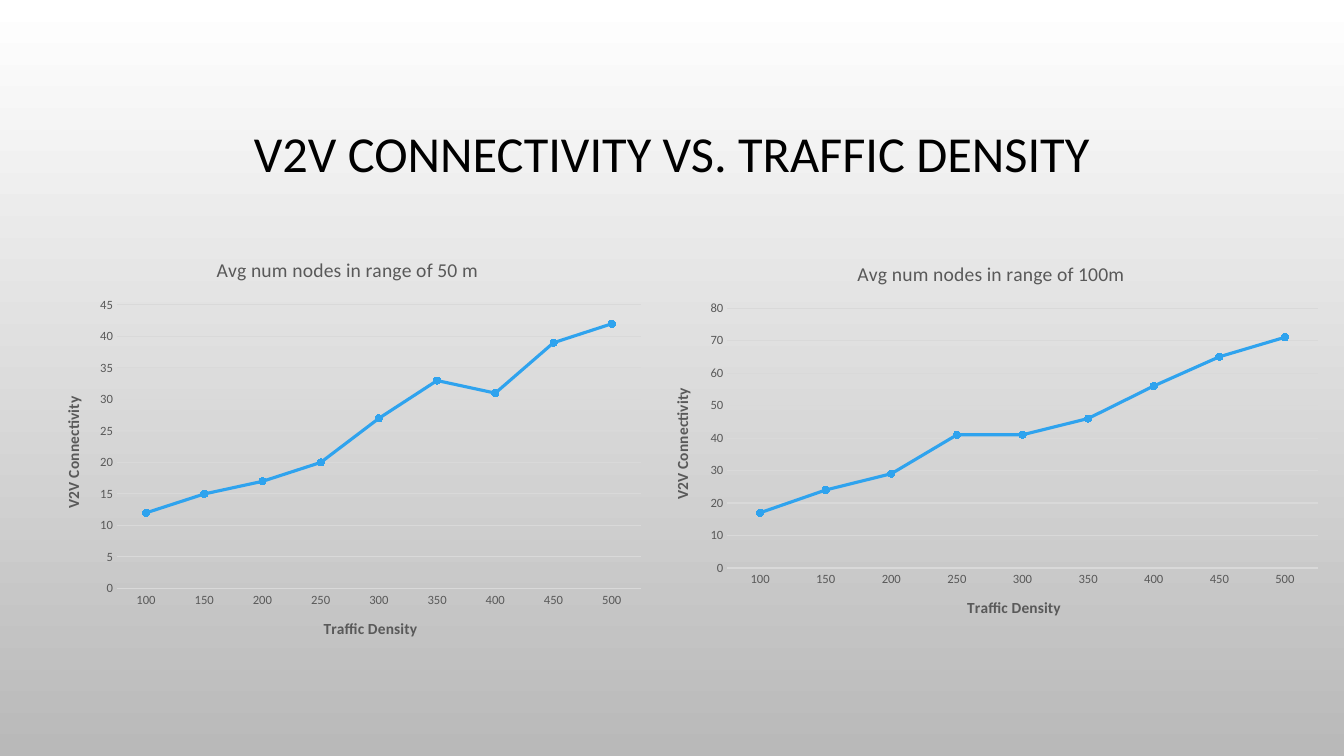
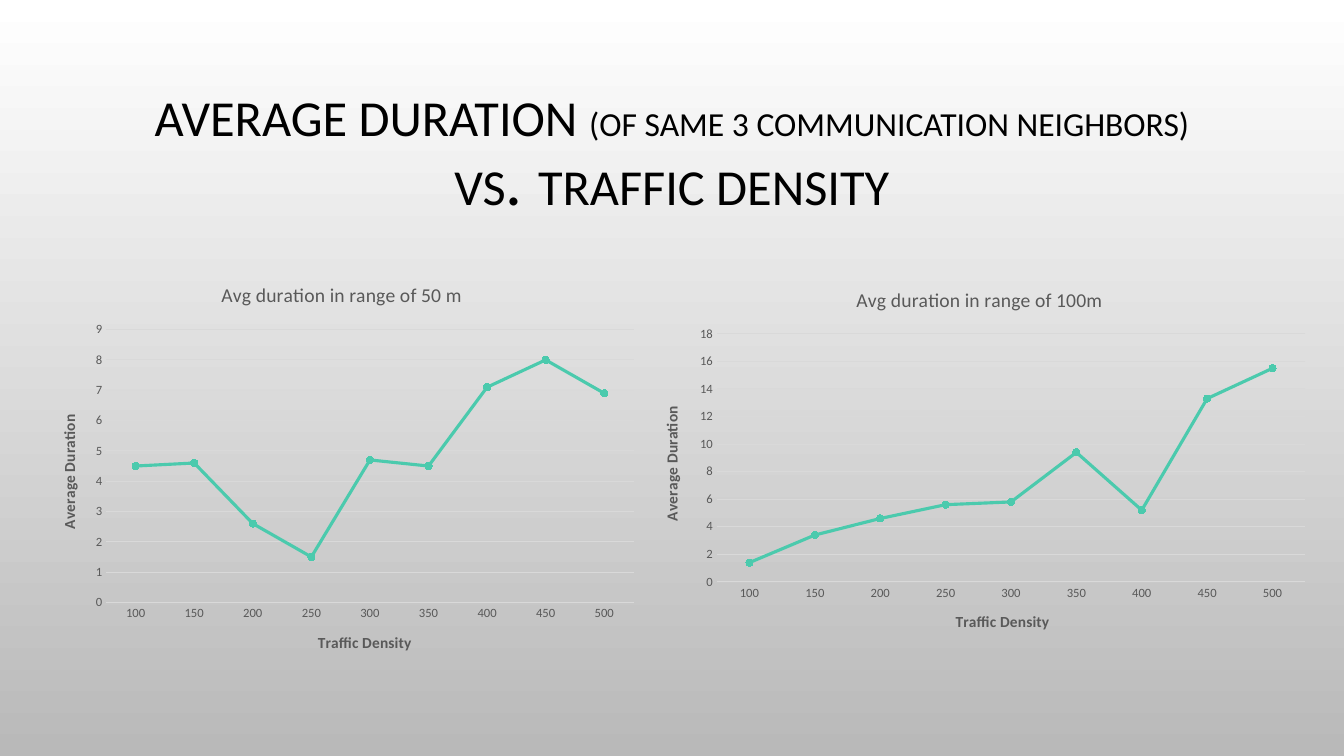
from pptx import Presentation
from pptx.chart.data import CategoryChartData
from pptx.dml.color import RGBColor
from pptx.enum.chart import XL_CHART_TYPE, XL_MARKER_STYLE, XL_TICK_MARK
from pptx.enum.text import MSO_ANCHOR, PP_ALIGN
from pptx.oxml import parse_xml
from pptx.oxml.ns import nsdecls, qn
from pptx.util import Pt

PX = 9525
FONT = "Calibri"
BLACK = RGBColor(0x00, 0x00, 0x00)
WHITE = RGBColor(0xFF, 0xFF, 0xFF)
SILVER = RGBColor(0xB9, 0xB9, 0xB9)
GREY = RGBColor(0x59, 0x59, 0x59)
GRID = RGBColor(0xD9, 0xD9, 0xD9)
BLUE = RGBColor(0x2F, 0xA3, 0xEE)
TEAL = RGBColor(0x4B, 0xCA, 0xAD)

LINE_MARKERS = XL_CHART_TYPE.LINE_MARKERS
CIRCLE = XL_MARKER_STYLE.CIRCLE
NO_TICK = XL_TICK_MARK.NONE
MIDDLE = MSO_ANCHOR.MIDDLE
CENTER = PP_ALIGN.CENTER

DENSITIES = [str(n) for n in range(100, 501, 50)]
TITLE_BOX = (96, 65, 1088, 168)

SLIDES = [
    {
        "title": [[("V2V CONNECTIVITY VS. TRAFFIC DENSITY", 36)]],
        "y_title": "V2V Connectivity",
        "color": BLUE,
        "charts": [
            {"box": (40, 228, 582, 401), "title": "Avg num nodes in range of 50 m",
             "series": "Avg num nodes in range of 50 m", "top": 45, "step": 5,
             "values": [12, 15, 17, 20, 27, 33, 31, 39, 42]},
            {"box": (620, 232, 648, 377), "title": "Avg num nodes in range of 100m",
             "series": "Series 1", "top": 80, "step": 10,
             "values": [17, 24, 29, 41, 41, 46, 56, 65, 71]},
        ],
    },
    {
        "title": [
            [("AVERAGE DURATION ", 36), ("(OF SAME 3 COMMUNICATION NEIGHBORS)", 24)],
            [("VS", 36), (". ", 48), ("TRAFFIC DENSITY", 36)],
        ],
        "y_title": "Average Duration",
        "color": TEAL,
        "charts": [
            {"box": (36, 252, 579, 390), "title": "Avg duration in range of 50 m",
             "series": "Avg duration in range of 50 m", "top": 9, "step": 1,
             "values": [4.5, 4.6, 2.6, 1.5, 4.7, 4.5, 7.1, 8, 6.9]},
            {"box": (610, 257, 646, 365), "title": "Avg duration in range of 100m",
             "series": "Series 1", "top": 18, "step": 2,
             "values": [1.4, 3.4, 4.6, 5.6, 5.8, 9.4, 5.2, 13.3, 15.5]},
        ],
    },
]


def px(box):
    """Turn pixel lengths into EMU."""
    return [n * PX for n in box]


def set_font(font, size, color, bold=False):
    """Give a font the deck's typeface with a size, colour and weight."""
    font.name = FONT
    font.size = Pt(size)
    font.bold = bold
    font.color.rgb = color


def add_text(p, text, size=14, color=GREY, bold=False):
    """Add one formatted run to a paragraph."""
    r = p.add_run()
    r.text = text
    set_font(r.font, size, color, bold)


def set_background(master):
    """Give every slide the vertical white to silver gradient."""
    fill = master.background.fill
    fill.gradient()
    fill.gradient_angle = 270
    for stop, position, color in zip(fill.gradient_stops, (0, 1), (WHITE, SILVER)):
        stop.position = position
        stop.color.rgb = color


def add_title(slide, lines):
    """Add the centred slide title from lines of (text, size) pieces."""
    tf = slide.shapes.add_textbox(*px(TITLE_BOX)).text_frame
    tf.word_wrap = True
    tf.vertical_anchor = MIDDLE
    p = tf.paragraphs[0]
    p.alignment = CENTER
    p.line_spacing = 0.9
    for i, line in enumerate(lines):
        if i:
            p.add_line_break()
        for text, size in line:
            add_text(p, text, size=size, color=BLACK)


def style_line(line, color, width):
    """Set the colour and width of a line."""
    line.color.rgb = color
    line.width = Pt(width)


def style_axis(axis, title):
    """Set an axis title, tick labels and tick marks."""
    add_text(axis.axis_title.text_frame.paragraphs[0], title, size=11, bold=True)
    axis.major_tick_mark = axis.minor_tick_mark = NO_TICK
    set_font(axis.tick_labels.font, 9, GREY)


def clear_fills(chart):
    """Make the chart area and plot area transparent."""
    xml = f'<c:spPr {nsdecls("c", "a")}><a:noFill/><a:ln><a:noFill/></a:ln></c:spPr>'
    area = chart.element.find(qn("c:chart"))
    area.addnext(parse_xml(xml))
    area.find(qn("c:plotArea")).append(parse_xml(xml))


def add_line_chart(slide, item, y_title, color):
    """Add a line chart with round markers against traffic density."""
    data = CategoryChartData()
    data.categories = DENSITIES
    data.add_series(item["series"], item["values"])
    chart = slide.shapes.add_chart(LINE_MARKERS, *px(item["box"]), data).chart
    set_font(chart.font, 10, BLACK)
    chart.has_legend = False
    add_text(chart.chart_title.text_frame.paragraphs[0], item["title"])
    chart.chart_title.include_in_layout = False
    clear_fills(chart)

    x_axis, y_axis = chart.category_axis, chart.value_axis
    style_axis(x_axis, "Traffic Density")
    style_line(x_axis.format.line, GRID, 0.75)
    style_axis(y_axis, y_title)
    body = y_axis.axis_title.element.find(".//" + qn("a:bodyPr"))
    body.set("rot", "-5400000")
    body.set("vert", "horz")
    y_axis.format.line.fill.background()
    style_line(y_axis.major_gridlines.format.line, GRID, 0.75)
    y_axis.minimum_scale = 0
    y_axis.maximum_scale = item["top"]
    y_axis.major_unit = item["step"]

    plot = chart.plots[0]
    plot.vary_by_categories = False
    series = plot.series[0]
    series.smooth = False
    style_line(series.format.line, color, 2.25)
    marker = series.marker
    marker.style = CIRCLE
    marker.size = 5
    marker.format.fill.solid()
    marker.format.fill.fore_color.rgb = color
    style_line(marker.format.line, color, 0.75)


def main():
    """Build and save the deck."""
    prs = Presentation()
    prs.slide_width, prs.slide_height = px((1280, 720))
    set_background(prs.slide_master)
    for content in SLIDES:
        slide = prs.slides.add_slide(prs.slide_layouts[6])
        add_title(slide, content["title"])
        for item in content["charts"]:
            add_line_chart(slide, item, content["y_title"], content["color"])
    prs.save("out.pptx")


if __name__ == "__main__":
    main()
